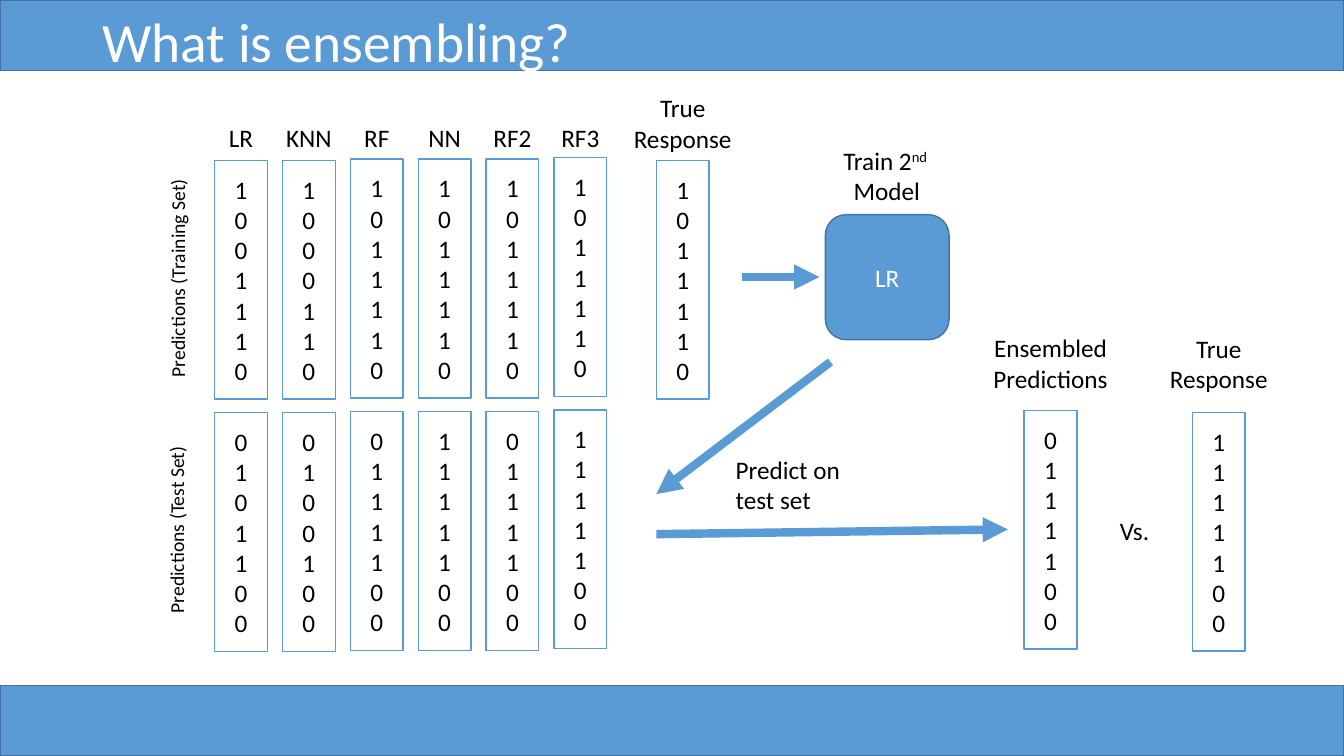
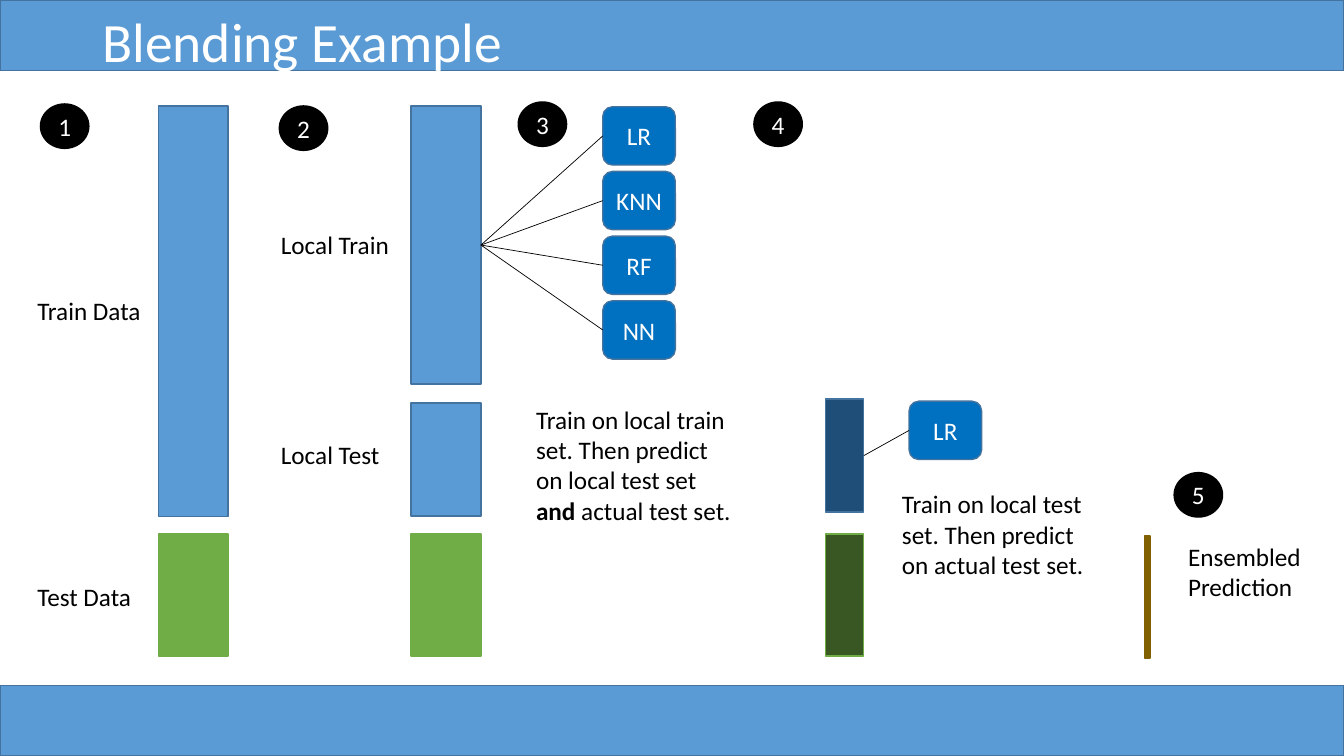
"""Build two slides on ensembling and blending of predictive models."""
import dataclasses

import pptx
import pptx.dml.color
import pptx.enum.shapes
import pptx.enum.text
import pptx.oxml
import pptx.oxml.ns
import pptx.util

Cm = pptx.util.Cm
Pt = pptx.util.Pt
SHAPE = pptx.enum.shapes.MSO_SHAPE
ALIGN = pptx.enum.text.PP_ALIGN
ANCHOR = pptx.enum.text.MSO_ANCHOR


@dataclasses.dataclass(frozen=True)
class Theme:
    """Colours, font and sizes shared by the slides."""
    font: str = "Calibri"
    blue: str = "5B9BD5"
    outline: str = "43739E"
    model: str = "0070C0"
    navy: str = "1F4E79"
    green: str = "70AD47"
    forest: str = "385723"
    brown: str = "806000"
    black: str = "000000"
    white: str = "FFFFFF"
    title: float = 39.6
    body: float = 18
    small: float = 14


THEME = Theme()
WIDTH, HEIGHT, BAND = 33.87, 19.05, 1.78
COLUMN_WIDTH, COLUMN_HEIGHT = 1.33, 6.02
BAR_WIDTH = 1.76
TEST_TOP, TEST_HEIGHT = 13.46, 3.07


def rgb(colour):
    """Return the colour object for a hex code."""
    return pptx.dml.color.RGBColor.from_string(colour)


def write(frame, lines, *, size=THEME.body, colour=THEME.black, align=ALIGN.LEFT,
          anchor=ANCHOR.TOP, wrap=True, spacing=None):
    """Fill a frame; a line is a string or a list of (text, style) spans."""
    frame.word_wrap = wrap
    frame.vertical_anchor = anchor
    frame.auto_size = pptx.enum.text.MSO_AUTO_SIZE.NONE
    for index, line in enumerate(lines):
        para = frame.paragraphs[0] if index == 0 else frame.add_paragraph()
        para.alignment = align
        para.line_spacing = spacing
        for text, style in [(line, "")] if isinstance(line, str) else line:
            span = para.add_run()
            span.text = text
            span.font.name = THEME.font
            span.font.size = Pt(size)
            span.font.color.rgb = rgb(colour)
            if style == "bold":
                span.font.bold = True
            if style == "super":
                span.font._element.set("baseline", "30000")


def add_label(page, lines, left, top, width, *, height=None, rotation=0, **style):
    """Add a text box whose height follows its line count by default."""
    height = height or 0.26 + 0.77 * len(lines)
    box = page.shapes.add_textbox(Cm(left), Cm(top), Cm(width), Cm(height))
    box.rotation = rotation
    write(box.text_frame, lines, wrap=False, **style)


def add_box(page, left, top, width, height, *, kind=SHAPE.RECTANGLE, fill=THEME.blue,
            line=THEME.outline, lines=(), colour=THEME.white):
    """Add a filled, outlined shape with centred text."""
    box = page.shapes.add_shape(kind, Cm(left), Cm(top), Cm(width), Cm(height))
    box.shadow.inherit = False
    box.fill.solid()
    box.fill.fore_color.rgb = rgb(fill)
    box.line.color.rgb = rgb(line)
    box.line.width = Pt(1)
    write(box.text_frame, lines, colour=colour, align=ALIGN.CENTER, anchor=ANCHOR.MIDDLE)
    return box


def add_line(page, start=(0, 0), end=(0, 0), *, colour=THEME.black, width=0.5, arrow=False):
    """Add a straight connector, with an arrowhead at its end if asked."""
    line = page.shapes.add_connector(pptx.enum.shapes.MSO_CONNECTOR.STRAIGHT,
                                     *map(Cm, start + end))
    line.line.color.rgb = rgb(colour)
    line.line.width = Pt(width)
    properties = line.element.spPr
    if arrow:
        outline = properties.find(pptx.oxml.ns.qn("a:ln"))
        head = pptx.oxml.parse_xml(f'<a:tailEnd {pptx.oxml.ns.nsdecls("a")} type="triangle"/>')
        outline.append(head)
    properties.append(pptx.oxml.parse_xml(f'<a:effectLst {pptx.oxml.ns.nsdecls("a")}/>'))
    return line


def add_arrow(page, start, end):
    """Add a thick blue arrow."""
    add_line(page, start, end, colour=THEME.blue, width=6, arrow=True)


def join(page, source, target):
    """Join the right side of one shape to the left side of another."""
    line = add_line(page)
    line.begin_connect(source, 3)
    line.end_connect(target, 1)


def add_column(page, digits, left, top):
    """Add an outlined column with one digit a line."""
    add_box(page, left, top, COLUMN_WIDTH, COLUMN_HEIGHT, fill=THEME.white,
            line=THEME.blue, lines=list(digits), colour=THEME.black)


def add_caption(page, lines, column_left, top, width):
    """Add a caption centred over a column."""
    left = column_left + (COLUMN_WIDTH - width) / 2
    add_label(page, lines, left, top, width, align=ALIGN.CENTER)


def add_model(page, name, left, top):
    """Add a small rounded model box."""
    return add_box(page, left, top, 1.83, 1.47, kind=SHAPE.ROUNDED_RECTANGLE,
                   fill=THEME.model, lines=[name])


def add_badge(page, number, left, top):
    """Add a black step number."""
    badge = add_box(page, left, top, 1.22, 1.12, kind=SHAPE.OVAL, fill=THEME.black,
                    line=THEME.black, lines=[str(number)])
    frame = badge.text_frame
    frame.margin_left = frame.margin_right = frame.margin_top = frame.margin_bottom = 0


def add_page(deck, heading):
    """Add a slide with both bands and its title."""
    page = deck.slides.add_slide(deck.slide_layouts[5])
    for top in (HEIGHT - BAND, 0):
        add_box(page, 0, top, WIDTH, BAND)
    title = page.shapes.title
    title.left, title.top, title.width, title.height = map(Cm, (2.33, 0.43, 29.21, 1.37))
    write(title.text_frame, [heading], size=THEME.title, colour=THEME.white,
          anchor=ANCHOR.MIDDLE, spacing=0.9)
    title.element.getparent().append(title.element)
    return page


def build_ensembling(deck):
    """Build the slide that explains stacking predictions."""
    page = add_page(deck, "What is ensembling?")
    models = [
        ("LR", "1001110", "0101100", 4.04),
        ("KNN", "1000110", "0100100", 4.04),
        ("RF", "1011110", "0111100", 4.01),
        ("NN", "1011110", "1111100", 4.01),
        ("RF2", "1011110", "0111100", 4.01),
        ("RF3", "1011110", "1111100", 3.97),
    ]
    for index, (name, training, test, top) in enumerate(models):
        left = 5.41 + 1.71 * index
        add_caption(page, [name], left, 2.95, 1.5)
        add_column(page, training, left, top)
        add_column(page, test, left, top + 6.36)

    outcomes = [
        (["True", "Response"], "1011110", 16.54, 2.21, 4.04, 3),
        (["Ensembled", "Predictions"], "0111100", 25.81, 8.26, 10.34, 3.43),
        (["True", "Response"], "1111100", 30.05, 8.28, 10.39, 3),
    ]
    for caption, digits, left, caption_top, top, width in outcomes:
        add_caption(page, caption, left, caption_top, width)
        add_column(page, digits, left, top)

    for text, left, top, width in [("Predictions (Training Set)", 1.7, 6.55, 5.56),
                                   ("Predictions (Test Set)", 2.08, 12.9, 4.75)]:
        add_label(page, [text], left, top, width, height=0.86, rotation=270,
                  size=THEME.small)

    add_label(page, [[("Train 2", ""), ("nd ", "super")], "Model"], 20.93, 3.53, 2.84,
              align=ALIGN.CENTER)
    add_box(page, 20.8, 5.41, 3.12, 3.15, kind=SHAPE.ROUNDED_RECTANGLE, lines=["LR"])
    add_label(page, ["Predict on", "test set"], 18.29, 11.33, 3.33)
    add_label(page, ["Vs."], 27.97, 12.85, 1.27)
    add_arrow(page, (18.69, 6.98), (20.65, 6.98))
    add_arrow(page, (20.93, 9.12), (16.54, 12.45))
    add_arrow(page, (16.54, 13.46), (25.4, 13.34))


def build_blending(deck):
    """Build the slide that walks through blending in five steps."""
    page = add_page(deck, "Blending Example")
    add_box(page, 3.99, 2.67, BAR_WIDTH, 10.34)
    local_train = add_box(page, 10.36, 2.67, BAR_WIDTH, 7.01)
    add_box(page, 10.36, 10.16, BAR_WIDTH, 2.84)
    for left in (3.99, 10.36):
        add_box(page, left, TEST_TOP, BAR_WIDTH, TEST_HEIGHT, fill=THEME.green,
                line=THEME.green)
    local_predictions = add_box(page, 20.8, 10.06, 0.97, 2.84, fill=THEME.navy)
    add_box(page, 20.8, TEST_TOP, 0.97, TEST_HEIGHT, fill=THEME.forest, line=THEME.green)
    add_box(page, 28.85, 13.51, 0.13, TEST_HEIGHT, fill=THEME.brown, line=THEME.brown)

    for index, name in enumerate(["LR", "KNN", "RF", "NN"]):
        join(page, local_train, add_model(page, name, 15.19, 2.69 + 1.63 * index))
    join(page, local_predictions, add_model(page, "LR", 22.91, 10.11))

    badges = [(1.02, 2.62), (7.04, 2.67), (13.06, 2.57), (19, 2.57), (29.59, 11.91)]
    for number, (left, top) in enumerate(badges, 1):
        add_badge(page, number, left, top)

    labels = [
        (["Train Data"], 0.69, 7.32, 3.15),
        (["Test Data"], 0.69, 14.53, 2.9),
        (["Local Train"], 6.83, 5.66, 3.28),
        (["Local Test"], 6.83, 10.95, 3.02),
        (["Train on local train", "set. Then predict", "on local test set",
          [("and", "bold"), (" actual test set.", "")]], 13.26, 10.06, 5.46),
        (["Train on local test", "set. Then predict", "on actual test set."],
         22.48, 12.19, 5.13),
        (["Ensembled", "Prediction"], 29.69, 13.51, 3.38),
    ]
    for lines, left, top, width in labels:
        add_label(page, lines, left, top, width)


def main():
    """Build and save the deck."""
    deck = pptx.Presentation()
    deck.slide_width, deck.slide_height = Cm(WIDTH), Cm(HEIGHT)
    build_ensembling(deck)
    build_blending(deck)
    deck.save("out.pptx")


main()
